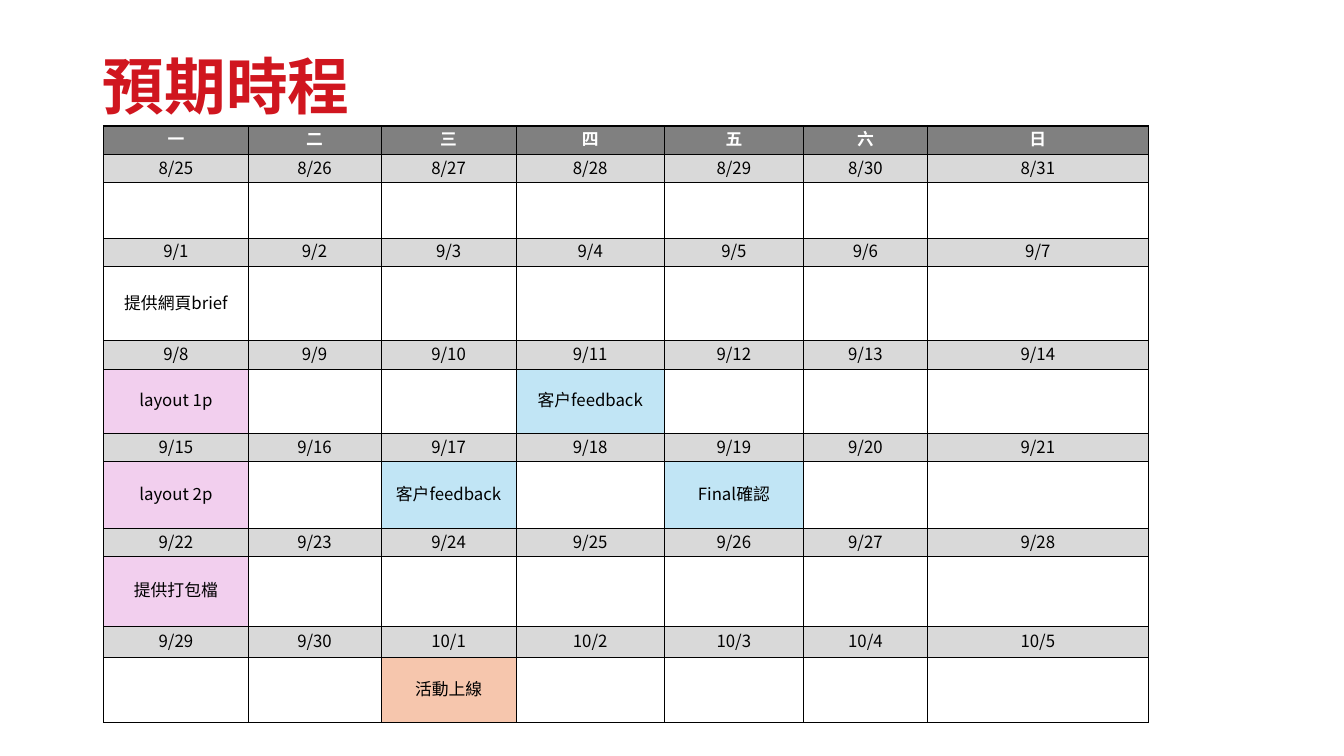
from lxml import etree
from pptx import Presentation
from pptx.dml.color import RGBColor
from pptx.enum.text import MSO_ANCHOR, MSO_AUTO_SIZE, PP_ALIGN
from pptx.oxml.ns import qn
from pptx.util import Inches, Pt

MIDDLE = MSO_ANCHOR.MIDDLE
NO_AUTOFIT = MSO_AUTO_SIZE.NONE
LEFT, CENTER = PP_ALIGN.LEFT, PP_ALIGN.CENTER

FONT = "Noto Sans CJK TC"
RED = RGBColor(0xD0, 0x16, 0x1F)
BLACK = RGBColor(0x00, 0x00, 0x00)
WHITE = RGBColor(0xFF, 0xFF, 0xFF)
HEADER_GRAY = RGBColor(0x80, 0x80, 0x80)
DATE_GRAY = RGBColor(0xD9, 0xD9, 0xD9)
PINK = RGBColor(0xF2, 0xCF, 0xEE)
BLUE = RGBColor(0xC1, 0xE5, 0xF5)
ORANGE = RGBColor(0xF6, 0xC6, 0xAD)

WEEKDAYS = "一二三四五六日"
MONTH_DAYS = {8: 31, 9: 30}
COL_WIDTHS = [1.43, 1.32, 1.34, 1.47, 1.38, 1.23, 2.19]
HEADER_HEIGHT = 0.28
DATE_HEIGHTS = [0.28, 0.28, 0.28, 0.28, 0.28, 0.31]
TASK_HEIGHTS = [0.55, 0.74, 0.64, 0.66, 0.69, 0.65]
TASKS = {
    (1, 0): ("提供網頁brief", WHITE),
    (2, 0): ("layout 1p", PINK),
    (2, 3): ("客戶feedback", BLUE),
    (3, 0): ("layout 2p", PINK),
    (3, 2): ("客戶feedback", BLUE),
    (3, 4): ("Final確認", BLUE),
    (4, 0): ("提供打包檔", PINK),
    (5, 2): ("活動上線", ORANGE),
}


def style_paragraph(p, size, color, bold, align):
    """Format a paragraph, with the same font for Latin and East Asian text."""
    p.alignment = align
    font = p.font
    font.size, font.bold, font.name = Pt(size), bold, FONT
    font.color.rgb = color
    props = p._p.pPr.find(qn("a:defRPr"))
    etree.SubElement(props, qn("a:ea"), typeface=FONT)


def set_border(cell, side, width):
    """Draw one solid black border of a cell."""
    ln = etree.SubElement(cell._tc.get_or_add_tcPr(), qn(f"a:ln{side}"), w=str(Pt(width)))
    fill = etree.SubElement(ln, qn("a:solidFill"))
    etree.SubElement(fill, qn("a:srgbClr"), val=str(BLACK))


def fill_cell(cell, text, fill, borders, color=BLACK, bold=False):
    """Set borders, fill and centred text of a cell."""
    for side, width in borders.items():
        set_border(cell, side, width)
    cell.fill.solid()
    cell.fill.fore_color.rgb = fill
    cell.vertical_anchor = MIDDLE
    cell.margin_left = cell.margin_top = cell.margin_right = 0
    cell.margin_bottom = Inches(0.03)
    p = cell.text_frame.paragraphs[0]
    p.text = text
    style_paragraph(p, 12, color, bold, CENTER)


def date_labels(month, day, count):
    """List consecutive dates as month/day."""
    labels = []
    for _ in range(count):
        labels.append(f"{month}/{day}")
        day += 1
        if day > MONTH_DAYS.get(month, 31):
            month, day = month + 1, 1
    return labels


def calendar_rows():
    """List the calendar rows as (cells, text colour, bold)."""
    days = len(WEEKDAYS)
    weeks = len(TASK_HEIGHTS)
    dates = date_labels(8, 25, weeks * days)
    rows = [([(name, HEADER_GRAY) for name in WEEKDAYS], WHITE, True)]
    for week in range(weeks):
        week_dates = dates[week * days:(week + 1) * days]
        rows.append(([(date, DATE_GRAY) for date in week_dates], BLACK, False))
        tasks = [TASKS.get((week, day), ("", WHITE)) for day in range(days)]
        rows.append((tasks, BLACK, False))
    return rows


def add_title(s, text):
    """Place and format the slide title."""
    title = s.shapes.title
    title.left, title.top = Inches(0.92), Inches(0.54)
    title.width, title.height = Inches(6.3), Inches(0.69)
    tf = title.text_frame
    tf.auto_size = NO_AUTOFIT
    tf.vertical_anchor = MIDDLE
    p = tf.paragraphs[0]
    p.text = text
    p.line_spacing = 0.9
    style_paragraph(p, 44, RED, True, LEFT)


def add_calendar(s):
    """Add the calendar table with a heavier top, left and right edge."""
    rows = calendar_rows()
    heights = [HEADER_HEIGHT]
    for pair in zip(DATE_HEIGHTS, TASK_HEIGHTS):
        heights.extend(pair)
    frame = s.shapes.add_table(len(rows), len(WEEKDAYS), Inches(1.03), Inches(1.25),
                               Inches(sum(COL_WIDTHS)), Inches(sum(heights)))
    table = frame.table
    table.first_row = table.horz_banding = False
    for column, width in zip(table.columns, COL_WIDTHS):
        column.width = Inches(width)
    for row, height in zip(table.rows, heights):
        row.height = Inches(height)
    last = len(WEEKDAYS) - 1
    for i, (cells, color, bold) in enumerate(rows):
        for j, (text, fill) in enumerate(cells):
            borders = {"L": 1 if j == 0 else 0.5, "R": 1 if j == last else 0.5,
                       "T": 1 if i == 0 else 0.5, "B": 0.5}
            fill_cell(table.cell(i, j), text, fill, borders, color, bold)


def main():
    """Build the schedule slide."""
    prs = Presentation()
    prs.slide_width, prs.slide_height = Inches(13.33), Inches(7.5)
    s = prs.slides.add_slide(prs.slide_layouts[5])
    add_title(s, "預期時程")
    add_calendar(s)
    prs.save("out.pptx")


if __name__ == "__main__":
    main()
